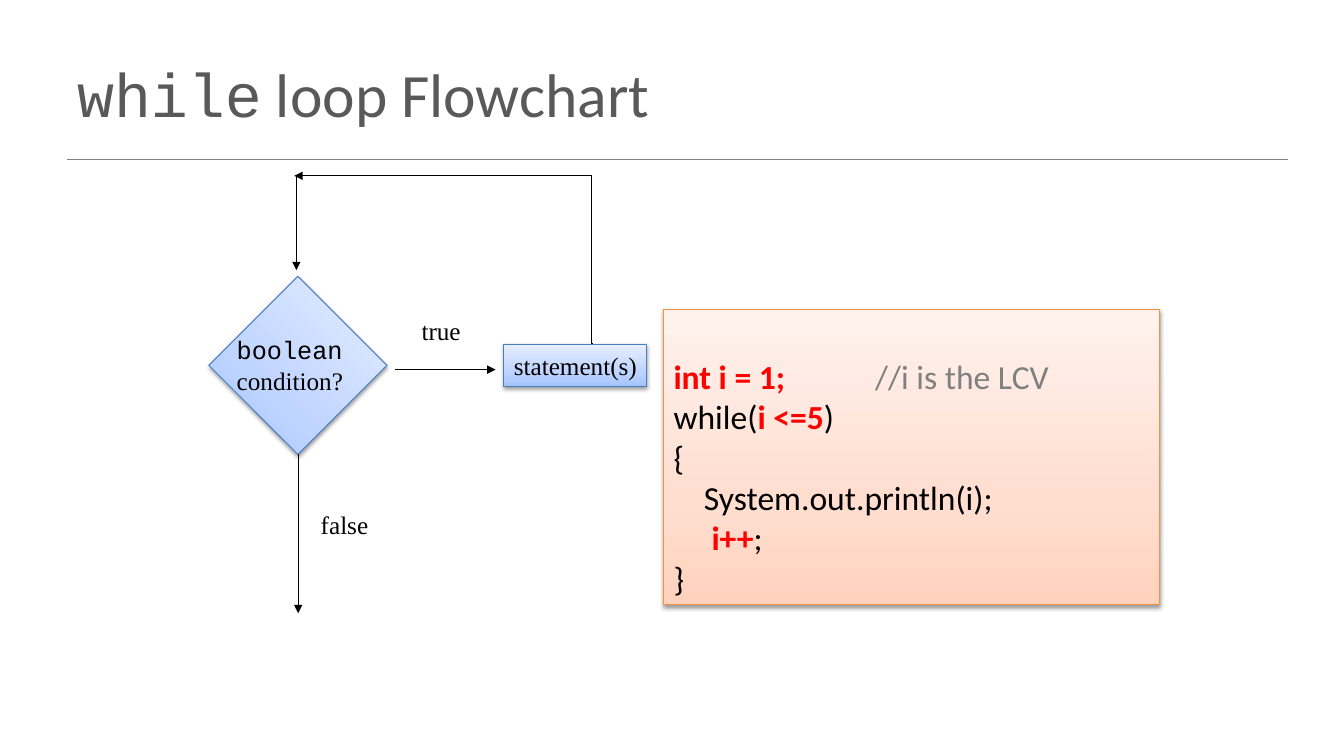
"""Builds the slide with the while loop flowchart and its code example."""
from lxml import etree
from pptx import Presentation
from pptx.dml.color import RGBColor
from pptx.enum.shapes import MSO_CONNECTOR, MSO_SHAPE
from pptx.enum.text import MSO_ANCHOR, PP_ALIGN
from pptx.oxml import parse_xml
from pptx.oxml.ns import nsdecls, qn
from pptx.util import Pt

STRAIGHT, ELBOW = MSO_CONNECTOR.STRAIGHT, MSO_CONNECTOR.ELBOW
RECT = MSO_SHAPE.RECTANGLE
TOP, MIDDLE, BOTTOM = MSO_ANCHOR.TOP, MSO_ANCHOR.MIDDLE, MSO_ANCHOR.BOTTOM
LEFT = PP_ALIGN.LEFT

THEME = {
    "black": "000000", "title": "595959", "red": "FF0000", "grey": "808080",
    "blue_line": "4B7EBC", "orange_line": "F69240",
    "blue": ("A4C4FF", "BFD4FF", "E6EEFF"),
    "orange": ("FFD2BD", "FFDED0", "FFF2ED"),
    "stops": (0, 35, 100),
    "sans": "Calibri", "mono": "Courier New", "serif": "Times New Roman",
    "title_size": 44, "label_size": 18, "code_size": 24, "thin": 0.75, "rule": 1,
}

TITLE = [[("while", "mono", "title"), (" loop Flowchart", "sans", "title")]]
TITLE_BOX = (48, 21.6, 864, 90)
RULE = (48, 113.8, 920, 113.8)

CONDITION = [[("boolean", "mono", "black")], [("condition?", "serif", "black")]]
CONDITION_BOX = (162, 235.5, 90.7, 51)
DIAMOND = (167.8, 216, 90, 90)
STATEMENT = [[("statement(s)", "serif", "black")]]
STATEMENT_BOX = (360, 246, 102, 30)
LABELS = [
    ("true", (294, 222, 54, 29)),
    ("false", (222, 360, 54, 29)),
]
ARROWS = [
    (213, 324, 213, 438),
    (211.7, 126, 211.7, 193),
    (282, 264, 354, 264),
]
LOOP_BACK = (423, 245.6, 210.2, 125.6)

CODE = [
    [("int i = 1;\t", "sans", "red"), ("//i is the LCV", "sans", "grey")],
    [("while(", "sans", "black"), ("i <=5", "sans", "red"), (")", "sans", "black")],
    [("{", "sans", "black")],
    [("    System.out.println(i);", "sans", "black")],
    [("     i++", "sans", "red"), (";", "sans", "black")],
    [("}", "sans", "black")],
]
CODE_BOX = (474, 221, 354.2, 211)
CODE_INSET = 5
COMMENT_TAB = 144


def points(values):
    return [Pt(v) for v in values]


def color(name):
    return RGBColor.from_string(THEME[name])


def write(shape, lines, size, anchor=TOP, wrap=True):
    tf = shape.text_frame
    tf.word_wrap = wrap
    tf.vertical_anchor = anchor
    for i, line in enumerate(lines):
        p = tf.paragraphs[0] if i == 0 else tf.add_paragraph()
        p.alignment = LEFT
        for text, face, ink in line:
            r = p.add_run()
            r.text = text
            r.font.name = THEME[face]
            r.font.size = Pt(THEME[size])
            r.font.color.rgb = color(ink)
            r.font.bold = ink == "red"
    return tf


def add_label(s, box, lines, size="label_size", **layout):
    write(s.shapes.add_textbox(*points(box)), lines, size, **layout)


def add_panel(s, box, tint, line):
    sp = s.shapes.add_shape(RECT, *points(box))
    sp.line.color.rgb = color(line)
    sp.line.width = Pt(THEME["thin"])
    stops = "".join(
        f'<a:gs pos="{pos * 1000}"><a:srgbClr val="{rgb}"/></a:gs>'
        for pos, rgb in zip(THEME["stops"], THEME[tint]))
    sp.line._get_or_add_ln().addprevious(parse_xml(
        f'<a:gradFill {nsdecls("a")} rotWithShape="1"><a:gsLst>{stops}</a:gsLst>'
        '<a:lin ang="16200000" scaled="0"/></a:gradFill>'))
    sp._element.spPr.append(parse_xml(
        f'<a:effectLst {nsdecls("a")}><a:outerShdw blurRad="{Pt(3.1)}" '
        f'dist="{Pt(1.6)}" dir="5400000" rotWithShape="0"><a:srgbClr val="000000">'
        '<a:alpha val="38000"/></a:srgbClr></a:outerShdw></a:effectLst>'))
    return sp


def add_line(s, ends, kind=STRAIGHT, ink="black", width="thin", arrow=True):
    c = s.shapes.add_connector(kind, *points(ends))
    c.line.color.rgb = color(ink)
    c.line.width = Pt(THEME[width])
    if arrow:
        etree.SubElement(c.line._get_or_add_ln(), qn("a:tailEnd"), type="triangle")
    etree.SubElement(c._element.spPr, qn("a:effectLst"))
    return c


def main():
    prs = Presentation()
    prs.slide_width, prs.slide_height = Pt(960), Pt(540)
    s = prs.slides.add_slide(prs.slide_layouts[6])

    add_line(s, RULE, ink="grey", width="rule", arrow=False)
    add_label(s, TITLE_BOX, TITLE, "title_size", anchor=MIDDLE)

    add_panel(s, DIAMOND, "blue", "blue_line").rotation = 45
    write(add_panel(s, STATEMENT_BOX, "blue", "blue_line"), STATEMENT,
          "label_size", anchor=MIDDLE, wrap=False)
    add_label(s, CONDITION_BOX, CONDITION, wrap=False)
    for text, box in LABELS:
        add_label(s, box, [[(text, "serif", "black")]])

    for ends in ARROWS:
        add_line(s, ends)
    loop = add_line(s, LOOP_BACK, ELBOW)
    guides = loop._element.spPr.find(qn("a:prstGeom")).get_or_add_avLst()
    etree.SubElement(guides, qn("a:gd"), name="adj1", fmla="val 100")

    tf = write(add_panel(s, CODE_BOX, "orange", "orange_line"), CODE, "code_size",
               anchor=BOTTOM)
    tf.margin_bottom = Pt(CODE_INSET)
    tabs = etree.SubElement(tf.paragraphs[0]._p.get_or_add_pPr(), qn("a:tabLst"))
    etree.SubElement(tabs, qn("a:tab"), pos=str(Pt(COMMENT_TAB)), algn="l")
    prs.save("out.pptx")


if __name__ == "__main__":
    main()
